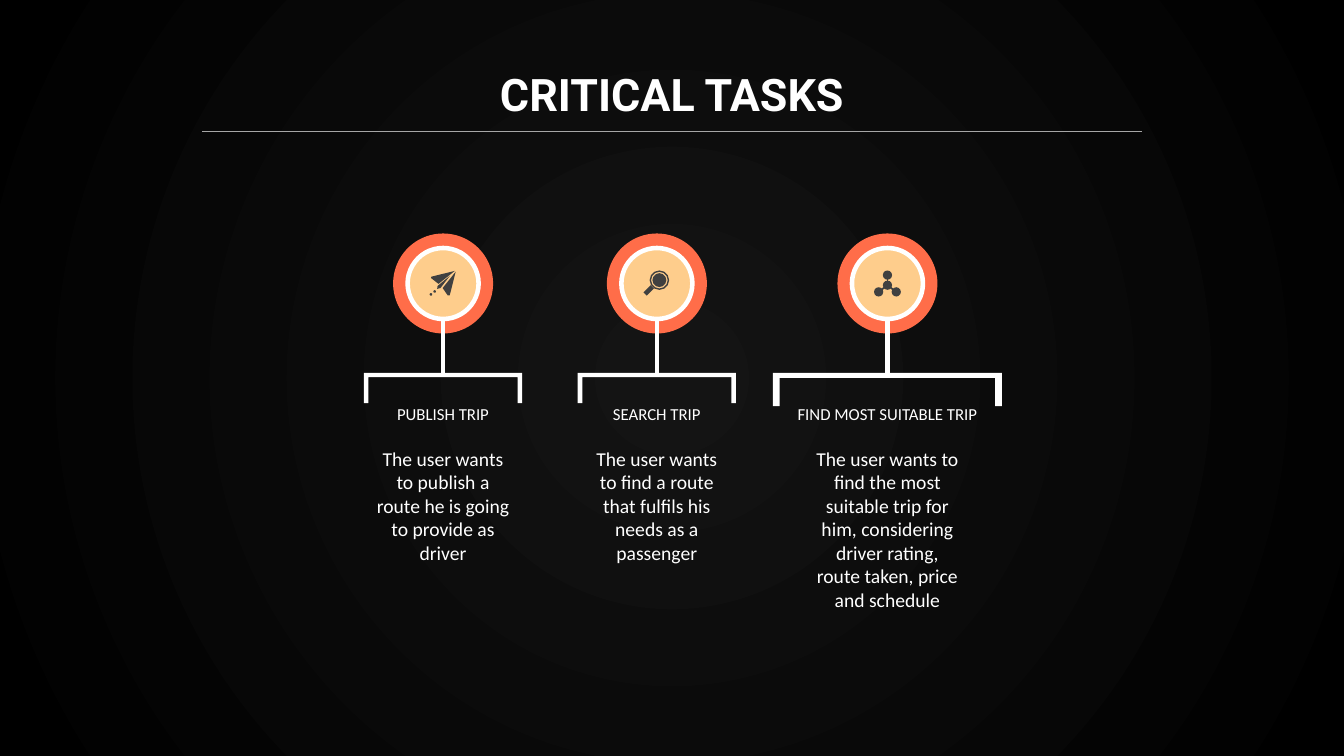
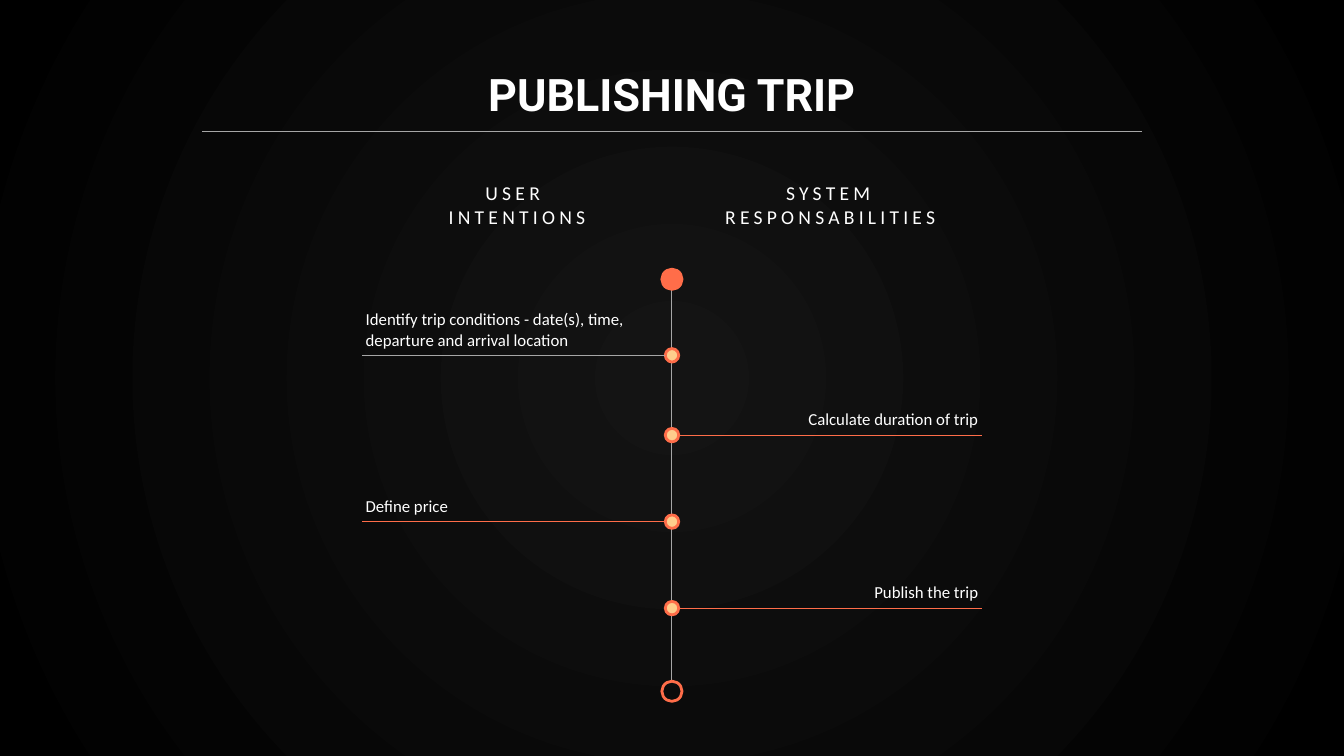
from lxml.etree import SubElement
from pptx import Presentation
from pptx.dml.color import RGBColor
from pptx.enum.shapes import MSO_CONNECTOR, MSO_SHAPE
from pptx.enum.text import MSO_ANCHOR, PP_ALIGN
from pptx.oxml.ns import qn
from pptx.util import Emu, Pt

COLUMNS, ROWS = 32, 18
CELL = 381000


def cells(value):
    return Emu(round(value * CELL))


def color(value):
    return RGBColor.from_string(value)


class Deck:
    WHITE = "FFFFFF"
    ORANGE = "FF6D49"
    CREAM = "FECD8C"
    DARK = "404040"
    GRAY = "A6A6A6"
    GRADIENT = ("141414", "000000")
    TITLE_FONT = "Roboto"
    BODY_FONT = "Calibri"
    INSET = 0.24

    def __init__(self):
        self.presentation = Presentation()
        self.presentation.slide_width = cells(COLUMNS)
        self.presentation.slide_height = cells(ROWS)
        self.slide = None
        self.paint_background()

    def paint_background(self):
        master = self.presentation.slide_master
        fill = master.background.fill
        fill.gradient()
        for stop, value in zip(fill.gradient_stops, self.GRADIENT):
            stop.color.rgb = color(value)
        gradient = master.element.find(".//" + qn("a:gradFill"))
        gradient.remove(gradient.find(qn("a:lin")))
        circle = SubElement(gradient, qn("a:path"), {"path": "circle"})
        center = {side: "50000" for side in "ltrb"}
        SubElement(circle, qn("a:fillToRect"), center)

    def start_slide(self, title):
        self.slide = self.presentation.slides.add_slide(
            self.presentation.slide_layouts[6])
        self.text([title], 16, 1.54, 23.66, 1.58, size=32, bold=True,
                  font=self.TITLE_FONT, anchor=MSO_ANCHOR.BOTTOM)
        self.line((4.82, 3.12), (27.18, 3.12), self.GRAY)

    def text(self, lines, center, top, width, height, size=14, bold=False,
             font=BODY_FONT, align=PP_ALIGN.CENTER, anchor=MSO_ANCHOR.TOP,
             inset=INSET, spacing=0):
        box = self.slide.shapes.add_textbox(
            cells(center - width / 2), cells(top), cells(width), cells(height))
        frame = box.text_frame
        frame.word_wrap = True
        frame.vertical_anchor = anchor
        frame.margin_left = frame.margin_right = cells(self.INSET)
        frame.margin_top = frame.margin_bottom = cells(inset)
        frame.text = "\n".join(lines)
        for paragraph in frame.paragraphs:
            paragraph.alignment = align
            paragraph.font.size = Pt(size)
            paragraph.font.bold = bold
            paragraph.font.name = font
            paragraph.font.color.rgb = color(self.WHITE)
            if spacing:
                properties = paragraph._p.pPr.find(qn("a:defRPr"))
                properties.set("spc", str(spacing * 100))

    def line(self, start, end, stroke, width=0.75):
        connector = self.slide.shapes.add_connector(
            MSO_CONNECTOR.STRAIGHT, *map(cells, (*start, *end)))
        connector.line.color.rgb = color(stroke)
        connector.line.width = Pt(width)
        SubElement(connector._element.spPr, qn("a:effectLst"))

    def paint(self, shape, fill, stroke=None, width=2):
        shape.shadow.inherit = False
        if fill:
            shape.fill.solid()
            shape.fill.fore_color.rgb = color(fill)
        else:
            shape.fill.background()
        if stroke:
            shape.line.color.rgb = color(stroke)
            shape.line.width = Pt(width)
        else:
            shape.line.fill.background()

    def circle(self, x, y, diameter, fill, stroke=None, width=2):
        shape = self.slide.shapes.add_shape(
            MSO_SHAPE.OVAL, cells(x - diameter / 2), cells(y - diameter / 2),
            cells(diameter), cells(diameter))
        self.paint(shape, fill, stroke, width)

    def polygon(self, x, y, points, fill):
        corners = [(cells(x + across), cells(y + down)) for across, down in points]
        builder = self.slide.shapes.build_freeform(*corners[0])
        builder.add_line_segments(corners[1:], close=True)
        self.paint(builder.convert_to_shape(), fill)

    def bracket(self, x, top, width, height, leg, bar):
        outer = width / 2
        inner = outer - leg
        self.polygon(x, top, [
            (-outer, 0), (outer, 0), (outer, height), (inner, height),
            (inner, bar), (-inner, bar), (-inner, height), (-outer, height),
        ], self.WHITE)

    def plane_icon(self, x, y):
        wing = [(0.28, -0.3), (-0.28, -0.16), (-0.29, -0.13), (-0.11, 0.01)]
        body = [(0.3, -0.28), (-0.01, 0.11), (0.11, 0.28), (0.16, 0.28)]
        fold = [(0.16, -0.18), (-0.13, 0.06), (-0.14, 0.13), (-0.06, 0.11)]
        for points in (wing, body, fold):
            self.polygon(x, y, points, self.DARK)
        for across, down in ((-0.29, 0.26), (-0.2, 0.19)):
            self.circle(x + across, y + down, 0.06, self.DARK)

    def magnifier_icon(self, x, y):
        self.line((x - 0.11, y + 0.08), (x - 0.28, y + 0.25), self.DARK, 3.25)
        self.circle(x + 0.06, y - 0.08, 0.43, None, self.DARK, 1)
        self.circle(x + 0.06, y - 0.08, 0.33, self.DARK)

    def network_icon(self, x, y):
        hub = (x, y + 0.04)
        self.circle(*hub, 0.22, self.DARK)
        for across, down in ((0, -0.2), (-0.21, 0.2), (0.21, 0.2)):
            node = (x + across, y + down)
            self.line(hub, node, self.DARK, 1.25)
            self.circle(*node, 0.22, self.DARK)

    def task(self, x, label, description, icon, bracket, text_width):
        badge = 6.75
        self.circle(x, badge, 2.38, self.ORANGE)
        self.line((x, badge), (x, 8.93), self.WHITE, 3.25)
        self.circle(x, badge, 1.69, self.CREAM, self.WHITE, 3.25)
        icon(x, badge)
        self.bracket(x, 8.88, *bracket)
        self.text([label], x, 9.84, 5.45, 0.5, size=12,
                  anchor=MSO_ANCHOR.BOTTOM)
        self.text([description], x, 10.39, text_width, 5.2)

    def step(self, axis, y, side, label, stroke):
        self.circle(axis, y, 0.32, self.CREAM, self.ORANGE)
        self.line((axis + side * 0.16, y), (axis + side * 7.38, y), stroke)
        align = PP_ALIGN.LEFT if side < 0 else PP_ALIGN.RIGHT
        self.text([label], axis + side * 3.92, y - 1.22, 7.22, 1.2, size=12,
                  align=align, anchor=MSO_ANCHOR.BOTTOM, inset=0.12)


def build_tasks(deck):
    deck.start_slide("CRITICAL TASKS")
    narrow = (3.77, 0.72, 0.11, 0.1)
    wide = (5.45, 0.79, 0.16, 0.12)
    tasks = [
        (10.55, "PUBLISH TRIP",
         "The user wants to publish a route he is going to provide as driver",
         deck.plane_icon, narrow, 3.77),
        (15.64, "SEARCH TRIP",
         "The user wants to find a route that fulfils his needs as a passenger",
         deck.magnifier_icon, narrow, 3.77),
        (21.13, "FIND MOST SUITABLE TRIP",
         "The user wants to find the most suitable trip for him, considering "
         "driver rating, route taken, price and schedule",
         deck.network_icon, wide, 3.98),
    ]
    for task in tasks:
        deck.task(*task)


def build_timeline(deck):
    deck.start_slide("PUBLISHING TRIP")
    axis = COLUMNS / 2
    left, right = -1, 1
    headings = [
        (12.31, 7.38, ["USER ", "INTENTIONS"]),
        (19.77, 7.54, ["SYSTEM RESPONSABILITIES"]),
    ]
    for center, width, lines in headings:
        deck.text(lines, center, 4.2, width, 1.37, inset=0.12, spacing=3)
    deck.line((axis, 6.89), (axis, 16.22), deck.GRAY)
    steps = [
        (8.46, left, "Identify trip conditions - date(s), time, "
                     "departure and arrival location", deck.GRAY),
        (10.36, right, "Calculate duration of trip", deck.ORANGE),
        (12.42, left, "Define price", deck.ORANGE),
        (14.48, right, "Publish the trip", deck.ORANGE),
    ]
    for step in steps:
        deck.step(axis, *step)
    deck.circle(axis, 6.65, 0.48, deck.ORANGE, deck.ORANGE)
    deck.circle(axis, 16.46, 0.48, None, deck.ORANGE)


def main():
    deck = Deck()
    build_tasks(deck)
    build_timeline(deck)
    deck.presentation.save("out.pptx")


if __name__ == "__main__":
    main()
